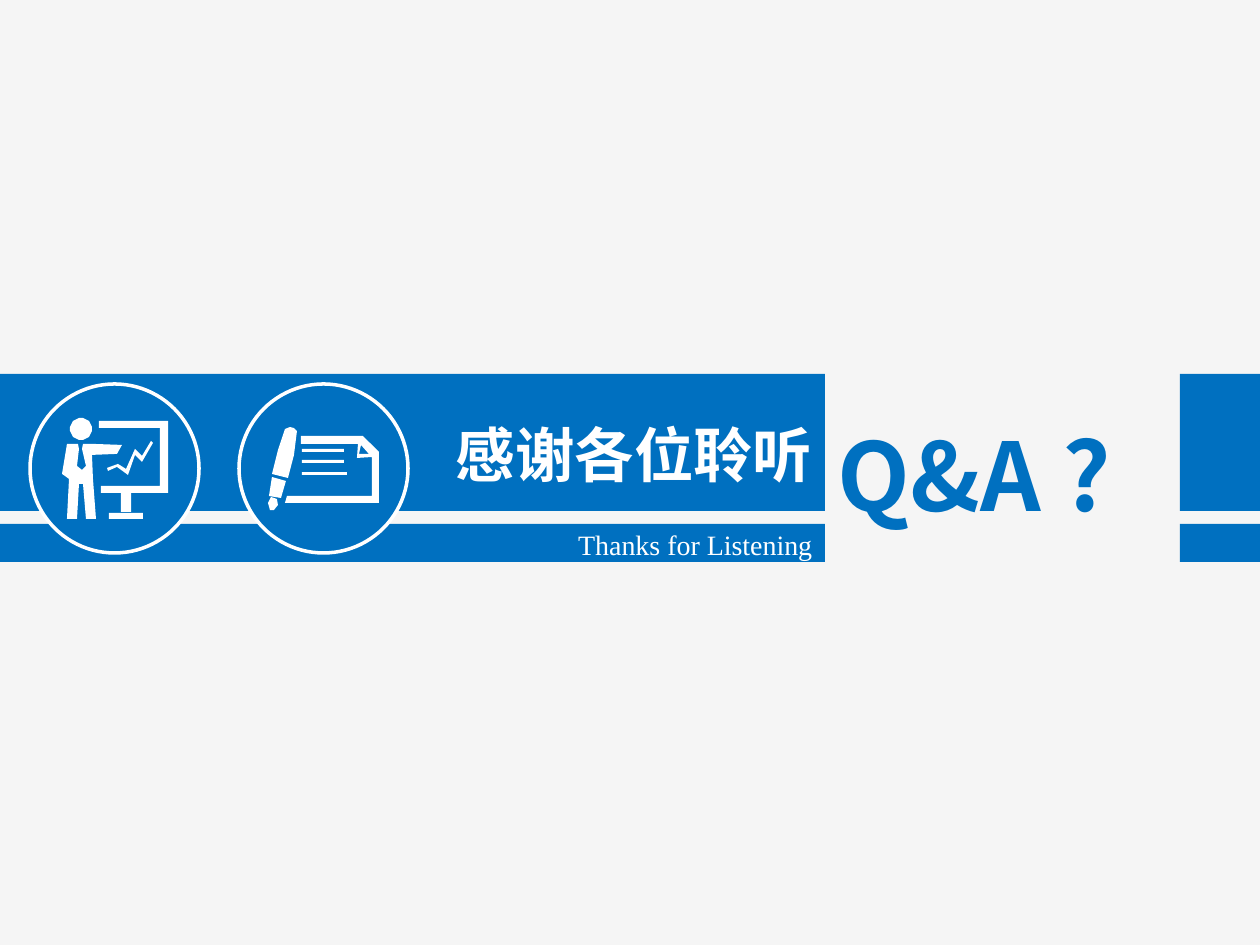
from dataclasses import dataclass
from math import cos, pi, sin

from lxml.etree import SubElement
from pptx import Presentation
from pptx.dml.color import RGBColor
from pptx.enum.shapes import MSO_SHAPE as Preset
from pptx.enum.text import MSO_ANCHOR as Anchor, MSO_AUTO_SIZE as AutoSize, PP_ALIGN as Align
from pptx.oxml.ns import qn
from pptx.util import Pt

PX = 914400 / 126


@dataclass(frozen=True)
class Theme:
    paper: RGBColor = RGBColor.from_string("F5F5F5")
    blue: RGBColor = RGBColor.from_string("0070C0")
    white: RGBColor = RGBColor.from_string("FFFFFF")
    sans: str = "Noto Sans CJK SC"
    serif: str = "Times New Roman"
    thanks_size: int = 34
    english_size: int = 16
    question_size: int = 54
    ring_width: int = 2


THEME = Theme()
SLIDE_SIZE = (1260, 945)
THANKS = "感谢各位聆听"
ENGLISH = "Thanks for Listening"
QUESTION = "Q&A ?"

BAND_COLUMNS = [(0, 825), (1180, 80)]
BAND_ROWS = [(374, 137), (524, 38)]
MEDALLION_TOP, MEDALLION_SIZE = 384, 169


def box(left, top, right, bottom):
    return [(left, top), (right, top), (right, bottom), (left, bottom)]


def disc(x, y, radius, steps=32):
    angles = [2 * pi * step / steps for step in range(steps)]
    return [(x + radius * cos(a), y + radius * sin(a)) for a in angles]


PRESENTER = [
    disc(81, 429, 11),
    [(107, 468), (118, 464), (126, 469), (135, 449), (142, 456), (151, 441), (153, 443),
     (142, 462), (135, 455), (128, 475), (117, 467), (108, 471)],
    box(109, 513, 143, 519),
    [(131, 493), (168, 493), (168, 421), (99, 421), (99, 428), (160, 428), (160, 486),
     (101, 486), (101, 493), (121, 493), (121, 512), (131, 512)],
    [(62, 474), (69, 479), (67, 519), (77, 519), (79, 484), (83, 484), (86, 519), (96, 519),
     (93, 479), (92, 455), (117, 454), (122, 445), (94, 444), (83, 444), (82, 449),
     (86, 466), (82, 470), (77, 466), (79, 449), (78, 444), (67, 444)],
]
PEN_AND_PAPER = [
    [(272, 474), (278, 450), (285, 429), (290, 427), (294, 428), (297, 431), (294, 455),
     (288, 478)],
    [(287, 496), (285, 503), (379, 503), (379, 452), (363, 436), (301, 436), (301, 444),
     (358, 444), (357, 458), (372, 457), (372, 496)],
    [(369, 454), (359, 454), (361, 445)],
    *[box(302, top, right, top + 3) for top, right in [(449, 344), (460, 344), (472, 347)]],
    [(271, 497), (277, 499), (278, 505), (274, 510), (270, 510), (268, 503)],
    [(272, 477), (269, 496), (281, 498), (286, 481)],
]
MEDALLIONS = [(30, PRESENTER), (239, PEN_AND_PAPER)]


def emu(*lengths):
    return [round(length * PX) for length in lengths]


def paint(shape, color):
    shape.shadow.inherit = False
    shape.fill.solid()
    shape.fill.fore_color.rgb = color
    shape.line.fill.background()
    return shape


def add_preset(slide, preset, *place):
    return paint(slide.shapes.add_shape(preset, *emu(*place)), THEME.blue)


def add_icon(slide, outlines):
    first, *others = outlines
    builder = slide.shapes.build_freeform(*first[0], scale=PX)
    builder.add_line_segments(first[1:], close=True)
    for outline in others:
        builder.move_to(*outline[0])
        builder.add_line_segments(outline[1:], close=True)
    paint(builder.convert_to_shape(), THEME.white)


def write(holder, place, wording, size, face, color, bold, align, spacing):
    holder.left, holder.top, holder.width, holder.height = emu(*place)
    frame = holder.text_frame
    frame.word_wrap = True
    frame.auto_size = AutoSize.SHAPE_TO_FIT_TEXT
    frame.vertical_anchor = Anchor.TOP
    paragraph = frame.paragraphs[0]
    paragraph.alignment = align
    paragraph.line_spacing = spacing
    paragraph.space_before = Pt(0)
    run = paragraph.add_run()
    run.text = wording
    font = run.font
    font.size, font.bold, font.name = Pt(size), bold, face
    font.color.rgb = color
    SubElement(run.font._element, qn("a:ea")).set("typeface", face)


def main():
    deck = Presentation()
    deck.slide_width, deck.slide_height = emu(*SLIDE_SIZE)
    slide = deck.slides.add_slide(deck.slide_layouts[0])
    slide.background.fill.solid()
    slide.background.fill.fore_color.rgb = THEME.paper

    for left, width in BAND_COLUMNS:
        for top, height in BAND_ROWS:
            add_preset(slide, Preset.RECTANGLE, left, top, width, height)

    thanks, english = slide.placeholders
    for holder in (thanks, english):
        holder.element.getparent().append(holder.element)
    write(thanks, (371, 394, 454, 102), THANKS, THEME.thanks_size, THEME.sans,
          THEME.white, True, Align.RIGHT, 1.25)
    write(english, (447, 513, 378, 55), ENGLISH, THEME.english_size, THEME.serif,
          THEME.white, False, Align.RIGHT, 1.25)
    question = slide.shapes.add_textbox(0, 0, 0, 0)
    write(question, (825, 411, 354, 126), QUESTION, THEME.question_size, THEME.sans,
          THEME.blue, True, Align.LEFT, 1.0)

    for left, outlines in MEDALLIONS:
        ring = add_preset(slide, Preset.OVAL, left, MEDALLION_TOP, MEDALLION_SIZE, MEDALLION_SIZE)
        ring.line.color.rgb = THEME.white
        ring.line.width = Pt(THEME.ring_width)
        add_icon(slide, outlines)

    deck.save("out.pptx")


if __name__ == "__main__":
    main()
